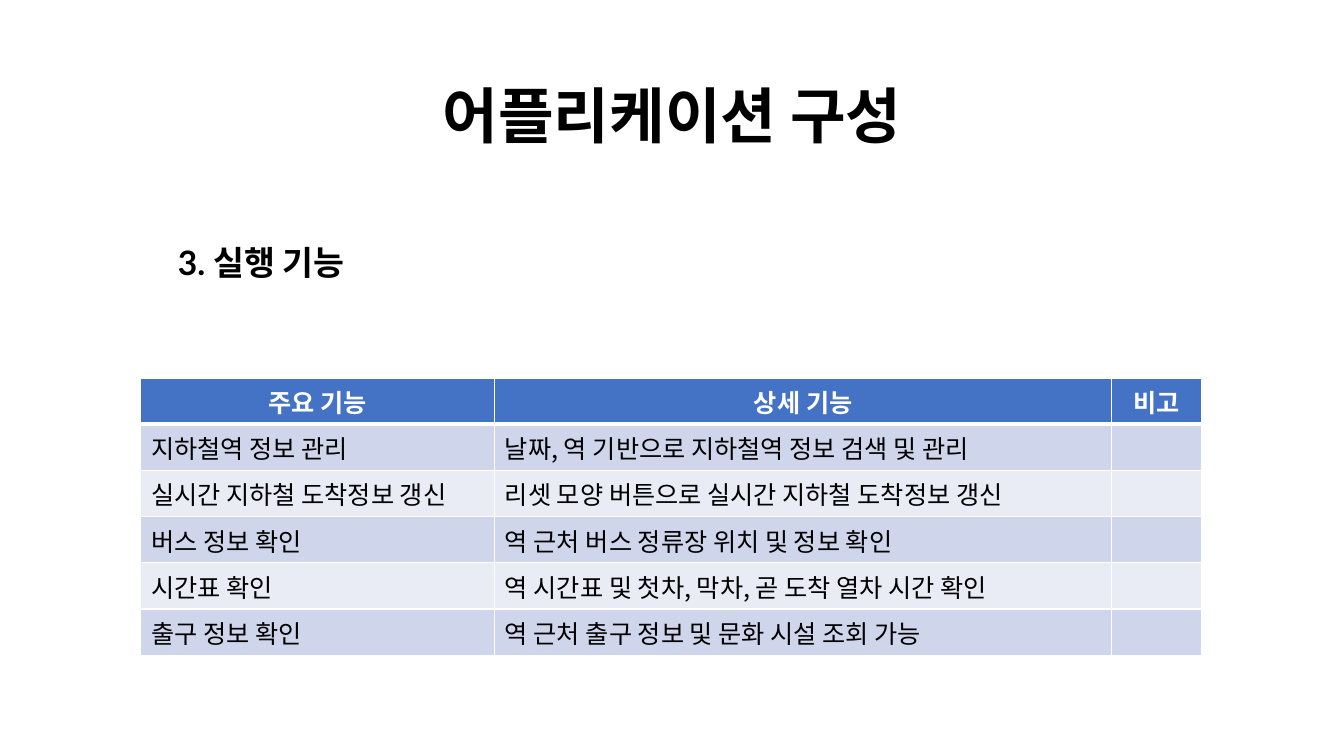
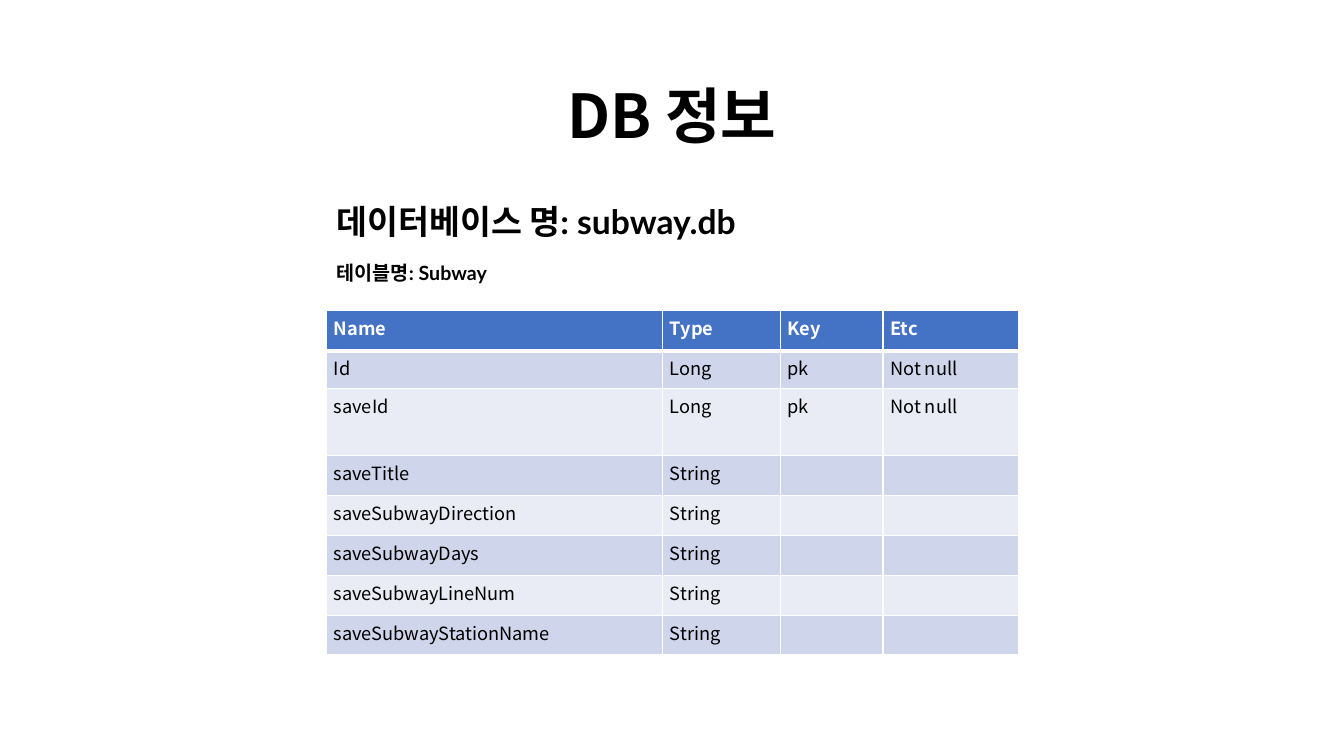
from dataclasses import dataclass

import lxml.etree
import pptx
import pptx.dml.color
import pptx.enum.text
import pptx.oxml.ns
import pptx.slide
import pptx.table
import pptx.text.text
import pptx.util

EMU_PER_PX = 9525
BLANK_LAYOUT = 6
HANGUL_FONT = "Noto Sans CJK KR"
LATIN_FONT = "Lato"
BLACK = "000000"
WHITE = "FFFFFF"
HEADER_FILL = "4472C4"
BAND_FILLS = ("CFD5EA", "E9EBF5")
THIN, THICK = 1, 3
ALIGN = pptx.enum.text.PP_ALIGN
ANCHOR = pptx.enum.text.MSO_ANCHOR


@dataclass(frozen=True)
class TextStyle:
    size: float
    font: str = HANGUL_FONT
    color: str = BLACK
    bold: bool = False


@dataclass(frozen=True)
class TextBlock:
    text: str
    left: int
    top: int
    width: int
    height: int
    style: TextStyle
    align: ALIGN = ALIGN.LEFT
    anchor: ANCHOR = ANCHOR.TOP
    space_before: int = 10


@dataclass(frozen=True)
class TableBlock:
    left: int
    top: int
    columns: tuple[int, ...]
    row_heights: tuple[int, ...]
    rows: tuple[tuple[str, ...], ...]
    text_size: int
    header_align: ALIGN
    margin_x: int
    margin_y: int


@dataclass(frozen=True)
class SlideContent:
    title: str
    headings: tuple[TextBlock, ...]
    table: TableBlock


TITLE_STYLE = TextStyle(43.2, bold=True)
HEADING_STYLE = TextStyle(24, LATIN_FONT, bold=True)
SUBHEADING_STYLE = TextStyle(14, LATIN_FONT, bold=True)

FEATURES = SlideContent(
    "어플리케이션 구성",
    (TextBlock("3. 실행 기능", 160, 230, 295, 46, HEADING_STYLE),),
    TableBlock(
        134, 360, (337, 588, 85), (44,) * 6,
        (
            ("주요 기능", "상세 기능", "비고"),
            ("지하철역 정보 관리", "날짜, 역 기반으로 지하철역 정보 검색 및 관리", ""),
            ("실시간 지하철 도착정보 갱신", "리셋 모양 버튼으로 실시간 지하철 도착정보 갱신", ""),
            ("버스 정보 확인", "역 근처 버스 정류장 위치 및 정보 확인", ""),
            ("시간표 확인", "역 시간표 및 첫차, 막차, 곧 도착 열차 시간 확인", ""),
            ("출구 정보 확인", "역 근처 출구 정보 및 문화 시설 조회 가능", ""),
        ),
        18, ALIGN.CENTER, 10, 5,
    ),
)

DATABASE = SlideContent(
    "DB 정보",
    (
        TextBlock("데이터베이스 명: subway.db", 311, 191, 658, 46, HEADING_STYLE),
        TextBlock("테이블명: Subway", 311, 246, 270, 46, SUBHEADING_STYLE),
    ),
    TableBlock(
        311, 296, (320, 112, 98, 129), (38, 36, 64, 38, 38, 38, 38, 38),
        (
            ("Name", "Type", "Key", "Etc"),
            ("Id", "Long", "pk", "Not null"),
            ("saveId", "Long", "pk", "Not null"),
            ("saveTitle", "String", "", ""),
            ("saveSubwayDirection", "String", "", ""),
            ("saveSubwayDays", "String", "", ""),
            ("saveSubwayLineNum", "String", "", ""),
            ("saveSubwayStationName", "String", "", ""),
        ),
        13, ALIGN.LEFT, 7, 4,
    ),
)


def px(length: int) -> pptx.util.Emu:
    return pptx.util.Emu(length * EMU_PER_PX)


def rgb(color: str) -> pptx.dml.color.RGBColor:
    return pptx.dml.color.RGBColor.from_string(color)


def add_child(parent: lxml.etree.ElementBase, tag: str, **attributes: str) -> lxml.etree.ElementBase:
    return lxml.etree.SubElement(parent, pptx.oxml.ns.qn(tag), **attributes)


def add_run(paragraph: pptx.text.text._Paragraph, text: str, style: TextStyle) -> None:
    run = paragraph.add_run()
    run.text = text
    run.font.size = pptx.util.Pt(style.size)
    run.font.bold = style.bold
    run.font.color.rgb = rgb(style.color)
    run.font.name = style.font
    add_child(run.font._element, "a:ea", typeface=HANGUL_FONT)


def add_text(slide: pptx.slide.Slide, block: TextBlock) -> None:
    shape = slide.shapes.add_textbox(px(block.left), px(block.top), px(block.width), px(block.height))
    shape.text_frame.word_wrap = True
    shape.text_frame.vertical_anchor = block.anchor
    paragraph = shape.text_frame.paragraphs[0]
    paragraph.alignment = block.align
    paragraph.line_spacing = 0.9
    paragraph.space_before = pptx.util.Pt(block.space_before)
    add_run(paragraph, block.text, block.style)


def add_borders(cell: pptx.table._Cell, top: int, bottom: int) -> None:
    properties = cell._tc.get_or_add_tcPr()
    for side, width in (("L", THIN), ("R", THIN), ("T", top), ("B", bottom)):
        line = add_child(properties, f"a:ln{side}", w=str(pptx.util.Pt(width)))
        add_child(add_child(line, "a:solidFill"), "a:srgbClr", val=WHITE)


def fill_cell(cell: pptx.table._Cell, text: str, row_index: int, block: TableBlock) -> None:
    is_header = row_index == 0
    cell.margin_left = cell.margin_right = px(block.margin_x)
    cell.margin_top = cell.margin_bottom = px(block.margin_y)
    add_borders(cell, THICK if row_index == 1 else THIN, THICK if is_header else THIN)
    cell.fill.solid()
    cell.fill.fore_color.rgb = rgb(HEADER_FILL if is_header else BAND_FILLS[(row_index - 1) % 2])
    paragraph = cell.text_frame.paragraphs[0]
    paragraph.alignment = block.header_align if is_header else ALIGN.LEFT
    if text:
        style = TextStyle(block.text_size, color=WHITE if is_header else BLACK, bold=is_header)
        add_run(paragraph, text, style)
    else:
        add_child(paragraph._p, "a:endParaRPr", sz=str(block.text_size * 100))


def add_table(slide: pptx.slide.Slide, block: TableBlock) -> None:
    table = slide.shapes.add_table(
        len(block.rows), len(block.columns), px(block.left), px(block.top),
        px(sum(block.columns)), px(sum(block.row_heights)),
    ).table
    table.horz_banding = False
    for column, width in zip(table.columns, block.columns):
        column.width = px(width)
    for row_index, (row, height) in enumerate(zip(table.rows, block.row_heights)):
        row.height = px(height)
        for cell, text in zip(row.cells, block.rows[row_index]):
            fill_cell(cell, text, row_index, block)


def add_slide(presentation: pptx.presentation.Presentation, content: SlideContent) -> None:
    slide = presentation.slides.add_slide(presentation.slide_layouts[BLANK_LAYOUT])
    title = TextBlock(content.title, 160, 70, 960, 79, TITLE_STYLE, ALIGN.CENTER, ANCHOR.BOTTOM, 0)
    for block in (title, *content.headings):
        add_text(slide, block)
    add_table(slide, content.table)


def main() -> None:
    presentation = pptx.Presentation()
    presentation.slide_width = px(1280)
    presentation.slide_height = px(720)
    for content in (FEATURES, DATABASE):
        add_slide(presentation, content)
    presentation.save("out.pptx")


if __name__ == "__main__":
    main()
